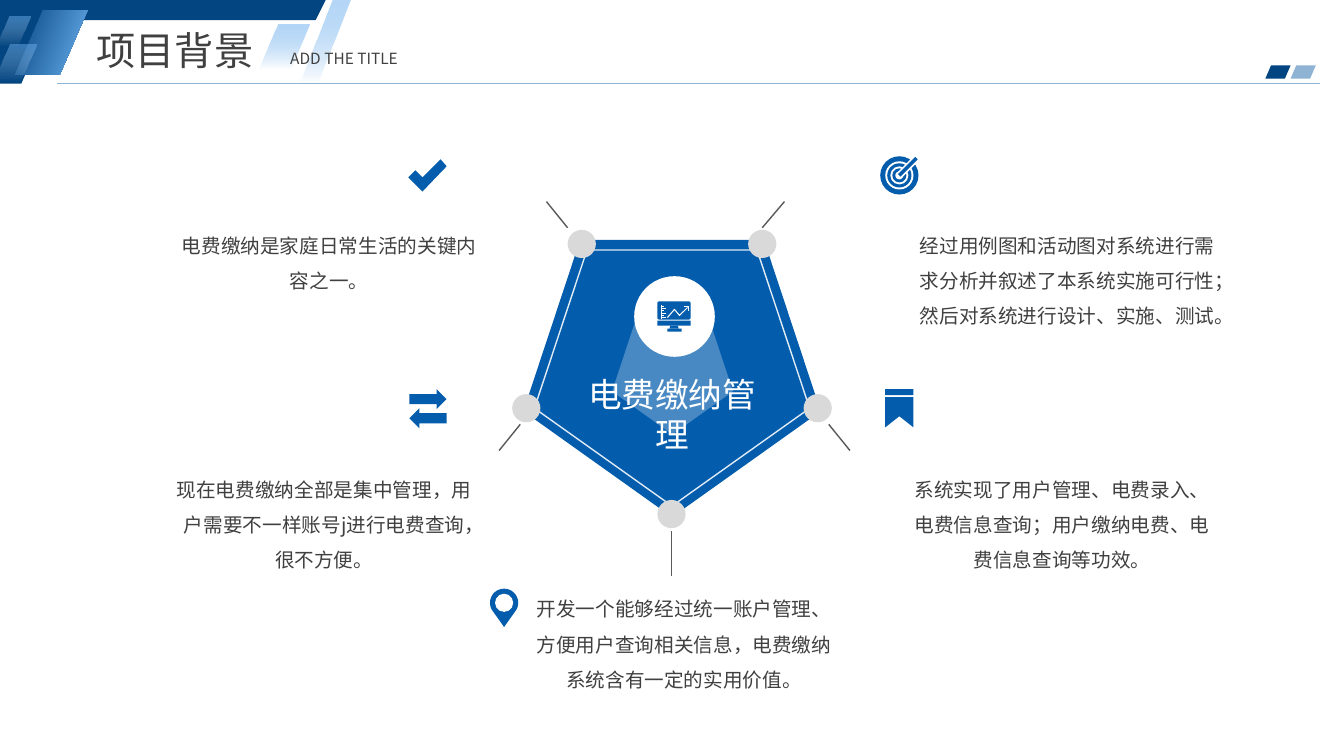
import math
from lxml import etree
from pptx import Presentation
from pptx import util as u
from pptx.dml.color import RGBColor
from pptx.enum import shapes, text
from pptx.oxml.ns import qn

THEME = {
    "font": "Noto Sans CJK SC",
    "navy": "034581", "blue": "035CAC", "sky": "6CAFEF", "pale": "DFEBF5",
    "steel": "8EB3D3", "white": "FFFFFF", "ink": "404040", "spoke": "595959", "dot": "D9D9D9",
    "title": 28, "subtitle": 11, "center": 24, "body": 14,
}

HEADINGS = [
    ("项目背景", (0.86, 0.21, 1.95, 0.57), "title"),
    ("ADD THE TITLE", (2.78, 0.44, 1.95, 0.29), "subtitle"),
]
CENTER_LABEL = ("电费缴纳管理", (5.77, 3.71, 1.79, 0.81))
NOTES = [
    ("电费缴纳是家庭日常生活的关键内容之一。", 1.79, 2.2, 0.65),
    ("现在电费缴纳全部是集中管理，用户需要不一样账号j进行电费查询，很不方便。", 1.74, 4.62, 1.01),
    ("开发一个能够经过统一账户管理、方便用户查询相关信息，电费缴纳系统含有一定的实用价值。", 5.31, 5.81, 1.01),
    ("系统实现了用户管理、电费录入、电费信息查询；用户缴纳电费、电费信息查询等功效。", 9.06, 4.62, 1.01),
    ("经过用例图和活动图对系统进行需求分析并叙述了本系统实施可行性；然后对系统进行设计、实施、测试。", 9.11, 2.2, 1.01),
]
NOTE_WIDTH = 2.95

BANNER = [(0.38, 0), (3.23, 0), (3.13, 0.2), (0.38, 0.2)]
FADES = [
    ((0.15, 0.1, 0.72, 0.64), 0.432, 20, ("navy", 100), ("sky", 100)),
    ((2.56, 0.24, 0.51, 0.45), 0.432, 90, ("sky", 50), ("white", 100)),
    ((2.97, 0, 0.51, 0.83), 0.648, 90, ("sky", 50), ("white", 100)),
    ((-0.06, 0.44, 0.42, 0.37), 0.432, 90, ("sky", 50), ("white", 0)),
    ((-0.03, 0.16, 0.33, 0.29), 0.432, 90, ("sky", 50), ("white", 0)),
]
CORNER_TABS = [("navy", 12.55), ("steel", 12.8)]

DOT_RADIUS = 0.14
DOT_CENTERS = [(5.77, 2.42), (5.22, 4.05), (6.66, 5.1), (8.11, 4.05), (7.56, 2.42)]
SPOKES = [
    ((5.42, 2), (5.63, 2.26)), ((7.78, 2), (7.56, 2.26)),
    ((4.95, 4.47), (5.16, 4.21)), ((8.43, 4.47), (8.22, 4.21)),
    ((6.66, 5.71), (6.66, 5.27)),
]

CHECK = [(4.37, 1.58), (4.19, 1.76), (4.12, 1.69), (4.05, 1.76), (4.19, 1.9), (4.43, 1.65)]
RIBBON = [(8.78, 3.94), (9.06, 3.94), (9.06, 4.24), (8.92, 4.13), (8.78, 4.24)]
TARGET_CENTER = (8.92, 1.74)
TARGET_RINGS = [("blue", 0.19), ("white", 0.14), ("blue", 0.12), ("white", 0.09), ("blue", 0.07), ("white", 0.04)]
PIN_CENTER, PIN_TIP = (5, 5.98), (5, 6.22)
TREND = [(6.62, 3.15), (6.69, 3.07), (6.74, 3.13), (6.82, 3.05)]
TREND_HEAD = [(6.78, 3.04), (6.83, 3.04), (6.83, 3.09)]

KIND = shapes.MSO_SHAPE
presentation = Presentation()
presentation.slide_width, presentation.slide_height = u.Inches(13.33), u.Inches(7.5)
slide = presentation.slides.add_slide(presentation.slide_layouts[6])


def color(name):
    return RGBColor.from_string(THEME[name])


def set_alpha(color_element, percent):
    etree.SubElement(color_element, qn("a:alpha")).set("val", str(percent * 1000))


def paint(shape, fill, line=None, width=1):
    shape.shadow.inherit = False
    if fill:
        shape.fill.solid()
        shape.fill.fore_color.rgb = color(fill)
    else:
        shape.fill.background()
    if line:
        shape.line.color.rgb = color(line)
        shape.line.width = u.Pt(width)
    else:
        shape.line.fill.background()
    return shape


def add_preset(kind, box, fill, line=None, adjust=None, turn=0):
    shape = slide.shapes.add_shape(kind, *map(u.Inches, box))
    shape.rotation = turn
    if adjust is not None:
        shape.adjustments[0] = adjust
    return paint(shape, fill, line)


def add_circle(center, radius, fill):
    x, y = center
    return add_preset(KIND.OVAL, (x - radius, y - radius, 2 * radius, 2 * radius), fill)


def add_outline(points, fill=None, line=None, width=1):
    places = [(u.Inches(x), u.Inches(y)) for x, y in points]
    builder = slide.shapes.build_freeform(*places[0])
    builder.add_line_segments(places[1:], close=bool(fill))
    return paint(builder.convert_to_shape(), fill, line, width)


def add_line(start, end, name, width=1):
    connector = slide.shapes.add_connector(
        shapes.MSO_CONNECTOR.STRAIGHT, *map(u.Inches, (*start, *end)))
    connector.line.color.rgb = color(name)
    connector.line.width = u.Pt(width)
    etree.SubElement(connector._element.spPr, qn("a:effectLst"))


def add_fade(box, adjust, angle, *stops):
    shape = add_preset(KIND.PARALLELOGRAM, box, "navy", adjust=adjust)
    shape.fill.gradient()
    shape.fill.gradient_angle = 360 - angle
    for position, (stop, (name, _)) in enumerate(zip(shape.fill.gradient_stops, stops)):
        stop.position = position
        stop.color.rgb = color(name)
    for element, (_, alpha) in zip(shape._element.spPr.iter(qn("a:srgbClr")), stops):
        if alpha < 100:
            set_alpha(element, alpha)


def add_words(words, box, size, name="ink", align="CENTER", spacing=1.0, inset=True):
    frame = slide.shapes.add_textbox(*map(u.Inches, box)).text_frame
    frame.word_wrap = True
    frame.auto_size = text.MSO_AUTO_SIZE.SHAPE_TO_FIT_TEXT
    if not inset:
        frame.margin_left = frame.margin_right = frame.margin_top = frame.margin_bottom = 0
    frame.text = words
    paragraph = frame.paragraphs[0]
    paragraph.alignment = text.PP_ALIGN[align]
    paragraph.line_spacing = spacing
    run = paragraph.runs[0]
    run.font.size = u.Pt(THEME[size])
    run.font.color.rgb = color(name)
    run.font.name = THEME["font"]
    etree.SubElement(run._r.rPr, qn("a:ea")).set("typeface", THEME["font"])


def draw_header():
    add_preset(KIND.PARALLELOGRAM, (-0.38, 0, 0.95, 0.83), "navy", adjust=0.432)
    add_outline(BANNER, "navy")
    for fade in FADES:
        add_fade(*fade)
    add_line((0.57, 0.83), (13.09, 0.83), "steel")
    for name, left in CORNER_TABS:
        add_preset(KIND.PARALLELOGRAM, (left, 0.65, 0.25, 0.13), name, adjust=0.432)
    for words, box, size in HEADINGS:
        add_words(words, box, size, align="JUSTIFY")


def draw_monitor():
    add_preset(KIND.ROUNDED_RECTANGLE, (6.52, 2.99, 0.33, 0.18), "blue", adjust=0.1)
    add_preset(KIND.RECTANGLE, (6.52, 3.18, 0.33, 0.05), "blue")
    add_preset(KIND.TRAPEZOID, (6.64, 3.23, 0.09, 0.03), "blue")
    add_preset(KIND.RECTANGLE, (6.62, 3.26, 0.14, 0.03), "blue")
    add_line((6.56, 3.03), (6.56, 3.16), "white", 0.75)
    for tick in range(6):
        y = 3.04 + tick * 0.022
        add_line((6.57, y), (6.61 if tick % 2 else 6.59, y), "white", 0.5)
    for points in (TREND, TREND_HEAD):
        add_outline(points, line="white", width=0.75)


def draw_pentagon():
    add_preset(KIND.REGULAR_PENTAGON, (5.19, 2.38, 2.95, 2.75), "blue", turn=180)
    add_preset(KIND.REGULAR_PENTAGON, (5.3, 2.48, 2.73, 2.54), "blue", "pale", turn=180)
    glow = add_preset(KIND.REGULAR_PENTAGON, (6.07, 3.19, 1.2, 1.12), "pale", turn=180)
    set_alpha(next(glow._element.spPr.iter(qn("a:srgbClr"))), 32)
    add_circle((6.69, 3.14), 0.4, "white")
    draw_monitor()
    for center in DOT_CENTERS:
        add_circle(center, DOT_RADIUS, "dot")
    for start, end in SPOKES:
        add_line(start, end, "spoke")


def draw_icons():
    add_outline(CHECK, "blue")
    x, y = PIN_CENTER
    arc = [math.radians(angle) for angle in range(150, 391, 10)]
    add_outline([(x + 0.14 * math.cos(a), y + 0.14 * math.sin(a)) for a in arc] + [PIN_TIP], "blue")
    add_circle(PIN_CENTER, 0.09, "white")
    for name, radius in TARGET_RINGS:
        add_circle(TARGET_CENTER, radius, name)
    add_line((8.92, 1.74), (9.12, 1.54), "white", 5)
    add_line((8.92, 1.74), (9.09, 1.57), "blue", 2.5)
    add_preset(KIND.RIGHT_ARROW, (4.06, 3.86, 0.37, 0.2), "blue")
    add_preset(KIND.LEFT_ARROW, (4.06, 4.05, 0.37, 0.2), "blue")
    add_preset(KIND.RECTANGLE, (8.78, 3.86, 0.28, 0.06), "blue")
    add_outline(RIBBON, "blue")


def main():
    draw_header()
    draw_pentagon()
    draw_icons()
    add_words(*CENTER_LABEL, "center", "white", inset=False)
    for words, left, top, height in NOTES:
        add_words(words, (left, top, NOTE_WIDTH, height), "body", spacing=1.5, inset=False)
    presentation.save("out.pptx")


if __name__ == "__main__":
    main()
